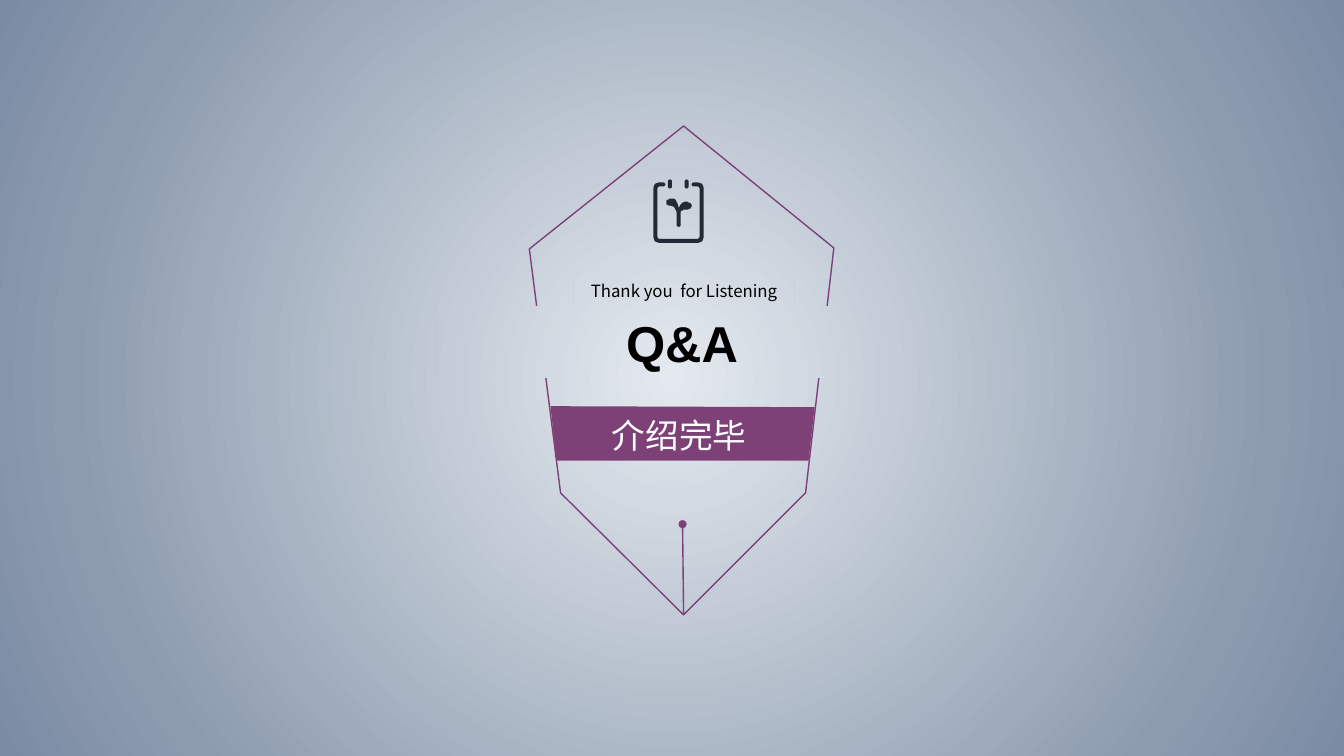
from dataclasses import dataclass

from lxml import etree
from pptx import Presentation
from pptx import util as u
from pptx.dml.color import RGBColor
from pptx.enum import shapes, text
from pptx.oxml import ns


@dataclass(frozen=True)
class Theme:
    """Colours, fonts and type sizes of the slide."""
    accent: str = "7D4178"
    icon: str = "222A35"
    ink: str = "000000"
    paper: str = "FFFFFF"
    backdrop: tuple = ((0, "E4E9EF"), (78, "8C9BAE"), (100, "7B8BA4"))
    latin: str = "Arial"
    asian: str = "Noto Sans CJK SC"
    heading: int = 36
    label: int = 24
    caption: int = 12
    hairline: float = 1
    stroke: float = 2.88


class Canvas:
    """Draws styled elements on one slide, measured on a grid of columns and rows."""

    columns, rows = 1333, 750

    def __init__(self, presentation, theme):
        """Add a title slide whose grid fills the page."""
        self.theme = theme
        self.slide = presentation.slides.add_slide(presentation.slide_layouts[5])
        self.column = presentation.slide_width / self.columns
        self.row = presentation.slide_height / self.rows

    def place(self, left, top, width, height):
        """Turn a grid box into slide lengths."""
        return (round(left * self.column), round(top * self.row),
                round(width * self.column), round(height * self.row))

    def paint(self, shape, fill=None, line=None, width=None):
        """Drop the preset style and set fill and line."""
        for style in shape._element.findall(ns.qn("p:style")):
            shape._element.remove(style)
        if fill:
            shape.fill.solid()
            shape.fill.fore_color.rgb = RGBColor.from_string(fill)
        if line:
            shape.line.color.rgb = RGBColor.from_string(line)
            shape.line.width = u.Pt(width or self.theme.hairline)
        return shape

    def background(self):
        """Fill the slide with a round gradient."""
        fill = self.slide.background.fill
        fill.gradient()
        gradient = self.slide._element.find(".//" + ns.qn("a:gradFill"))
        for child in list(gradient):
            gradient.remove(child)
        stops = etree.SubElement(gradient, ns.qn("a:gsLst"))
        for position, colour in self.theme.backdrop:
            stop = etree.SubElement(stops, ns.qn("a:gs"), pos=str(position * 1000))
            etree.SubElement(stop, ns.qn("a:srgbClr"), val=colour)
        centre = etree.SubElement(gradient, ns.qn("a:path"), path="circle")
        etree.SubElement(centre, ns.qn("a:fillToRect"),
                         {side: "50000" for side in "ltrb"})

    def outline(self, points, closed=True, **paint):
        """Draw a polygon or an open polyline through grid points."""
        builder = self.slide.shapes.build_freeform(
            *points[0], scale=(self.column, self.row))
        builder.add_line_segments(points[1:], close=closed)
        shape = self.paint(builder.convert_to_shape(), **paint)
        if not paint.get("fill"):
            shape.fill.background()
        if not closed:
            line = shape.line._get_or_add_ln()
            line.set("cap", "rnd")
            etree.SubElement(line, ns.qn("a:round"))
        return shape

    def curves(self, start, segments, steps=6, **paint):
        """Draw a filled outline made of cubic curves."""
        points = [start]
        for segment in segments:
            controls = (points[-1], *segment)
            for step in range(1, steps + 1):
                t = step / steps
                weights = ((1 - t) ** 3, 3 * t * (1 - t) ** 2, 3 * t * t * (1 - t), t ** 3)
                points.append(tuple(
                    sum(w * c[axis] for w, c in zip(weights, controls)) for axis in (0, 1)))
        return self.outline(points, **paint)

    def preset(self, kind, box, **paint):
        """Draw a preset shape."""
        return self.paint(self.slide.shapes.add_shape(kind, *self.place(*box)), **paint)

    def connector(self, start, end, **paint):
        """Draw a straight line."""
        line = self.slide.shapes.add_connector(
            shapes.MSO_CONNECTOR.STRAIGHT, *self.place(*start, *end))
        etree.SubElement(line._element.spPr, ns.qn("a:effectLst"))
        return self.paint(line, line=self.theme.accent, **paint)

    def set_words(self, shape, words, wrap=False, **font):
        """Set centred words in a shape."""
        frame = shape.text_frame
        frame.text = words
        frame_format = {"word_wrap": wrap, "vertical_anchor": text.MSO_ANCHOR.MIDDLE,
                        "auto_size": text.MSO_AUTO_SIZE.NONE}
        for name, value in frame_format.items():
            setattr(frame, name, value)
        paragraph = frame.paragraphs[0]
        paragraph.alignment = text.PP_ALIGN.CENTER
        run = paragraph.runs[0]
        colour = font.pop("colour", self.theme.ink)
        run.font.color.rgb = RGBColor.from_string(colour)
        for name, value in font.items():
            setattr(run.font, name, value)
        etree.SubElement(run.font._element, ns.qn("a:ea"), typeface=self.theme.asian)

    def title(self, words, box):
        """Move the title to the front, over a band of slide background."""
        shape = self.slide.shapes.title
        shape.left, shape.top, shape.width, shape.height = self.place(*box)
        self.slide.shapes._spTree.append(shape._element)
        shape._element.set("useBgFill", "1")
        self.set_words(shape, words, wrap=True, name=self.theme.latin,
                       size=u.Pt(self.theme.heading), bold=True)

    def caption(self, words, box):
        """Set a small line over a band of slide background."""
        shape = self.preset(shapes.MSO_SHAPE.RECTANGLE, box)
        shape._element.set("useBgFill", "1")
        self.set_words(shape, words, name=self.theme.asian, size=u.Pt(self.theme.caption))

    def label(self, words, box):
        """Set a light label."""
        shape = self.slide.shapes.add_textbox(*self.place(*box))
        self.set_words(shape, words, name=self.theme.latin,
                       size=u.Pt(self.theme.label), colour=self.theme.paper)


def draw_icon(canvas):
    """Draw the calendar with a sprout."""
    colour = canvas.theme.icon
    canvas.outline([(658, 183), (654, 183), (651, 184), (650, 187), (650, 235),
                    (651, 238), (654, 239), (692, 239), (695, 238), (696, 235),
                    (696, 187), (695, 184), (692, 183), (688, 183)],
                   closed=False, line=colour, width=canvas.theme.stroke)
    for left in (662.5, 679):
        pin = canvas.preset(shapes.MSO_SHAPE.ROUNDED_RECTANGLE, (left, 178, 4, 9), fill=colour)
        pin.adjustments[0] = 0.5
    canvas.curves((681, 208), [
        ((675, 208), (675, 210), (675, 213)), ((675, 216), (675, 220), (675, 223)),
        ((675, 224), (674, 225), (673, 225)), ((672, 225), (671, 224), (671, 223)),
        ((671, 220), (671, 216), (671, 212)), ((671, 211), (671, 205), (665, 204)),
        ((662, 204), (661, 203), (661, 201)), ((661, 199), (662, 197), (665, 197)),
        ((671, 197), (673, 202), (673, 207)), ((674, 203), (677, 200), (681, 200)),
        ((683, 200), (686, 202), (686, 204)), ((686, 206), (684, 208), (681, 208)),
    ], fill=colour)


def main():
    """Build and save the closing slide."""
    presentation = Presentation()
    presentation.slide_width, presentation.slide_height = u.Inches(13.33), u.Inches(7.5)
    theme = Theme()
    canvas = Canvas(presentation, theme)
    canvas.background()
    canvas.outline([(525, 247), (678, 125), (827, 246), (799, 489), (678, 610), (556, 489)],
                   line=theme.accent)
    canvas.outline([(546, 403), (808, 404), (802, 457), (552, 457)], fill=theme.accent)
    canvas.title("Q&A", (432, 304, 489, 71))
    canvas.caption("Thank you  for Listening", (569, 274, 219, 30))
    canvas.connector((678, 610), (677, 518))
    canvas.preset(shapes.MSO_SHAPE.OVAL, (673, 516, 8, 8), fill=theme.accent)
    canvas.label("介绍完毕", (596, 407, 155, 50))
    draw_icon(canvas)
    presentation.save("out.pptx")


if __name__ == "__main__":
    main()
